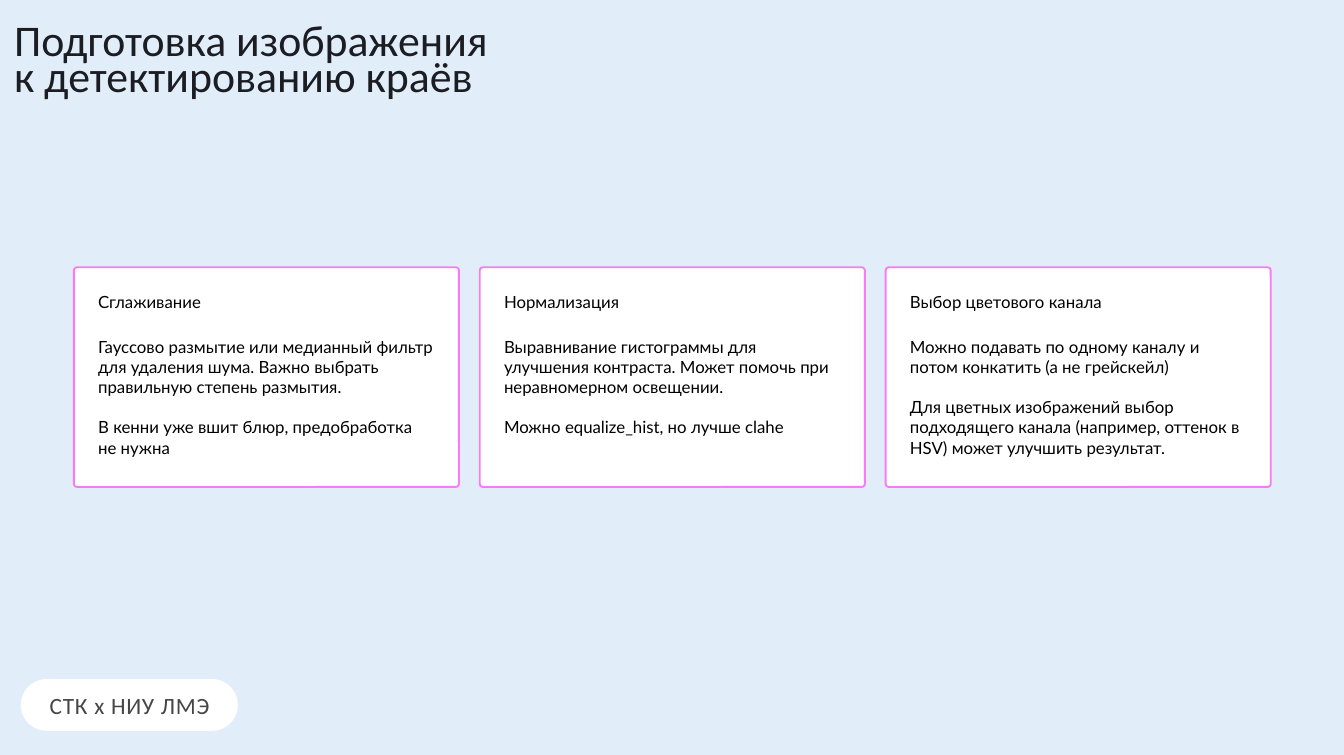
from dataclasses import dataclass

from pptx import Presentation
from pptx.dml.color import RGBColor
from pptx.enum.shapes import MSO_SHAPE
from pptx.enum.text import MSO_ANCHOR, PP_ALIGN
from pptx.util import Inches, Pt

ROUNDED = MSO_SHAPE.ROUNDED_RECTANGLE
TOP, MIDDLE = MSO_ANCHOR.TOP, MSO_ANCHOR.MIDDLE
LEFT, CENTER = PP_ALIGN.LEFT, PP_ALIGN.CENTER


@dataclass(frozen=True)
class Theme:
    background: RGBColor = RGBColor(0xE1, 0xEE, 0xFA)
    panel: RGBColor = RGBColor(0xFF, 0xFF, 0xFF)
    border: RGBColor = RGBColor(0xF7, 0x7B, 0xF7)
    title: RGBColor = RGBColor(0x1B, 0x1D, 0x22)
    badge: RGBColor = RGBColor(0x46, 0x46, 0x46)
    body: RGBColor = RGBColor(0x00, 0x00, 0x00)
    title_size: Pt = Pt(46.9)
    badge_size: Pt = Pt(25)
    body_size: Pt = Pt(18)
    heading_font: str = "Calibri"
    body_font: str = "Lato"


THEME = Theme()

CARDS = [
    ("Сглаживание", 1.7, 1.92, [
        "Гауссово размытие или медианный фильтр для удаления шума. "
        "Важно выбрать правильную степень размытия.",
        "В кенни уже вшит блюр, предобработка не нужна",
    ]),
    ("Нормализация", 1.88, 1.62, [
        "Выравнивание гистограммы для улучшения контраста. "
        "Может помочь при неравномерном освещении.",
        "Можно equalize_hist, но лучше clahe",
    ]),
    ("Выбор цветового канала", 3.04, 1.92, [
        "Можно подавать по одному каналу и потом конкатить (а не грейскейл)",
        "Для цветных изображений выбор подходящего канала "
        "(например, оттенок в HSV) может улучшить результат.",
    ]),
]

deck = Presentation()
deck.slide_width, deck.slide_height = Inches(20), Inches(11.24)
page = deck.slides.add_slide(deck.slide_layouts[6])
page.background.fill.solid()
page.background.fill.fore_color.rgb = THEME.background


def add_panel(left, top, width, height, rounding):
    panel = page.shapes.add_shape(
        ROUNDED, Inches(left), Inches(top), Inches(width), Inches(height))
    panel.adjustments[0] = rounding
    panel.shadow.inherit = False
    panel.fill.solid()
    panel.fill.fore_color.rgb = THEME.panel
    panel.line.fill.background()
    return panel


def add_text(left, top, width, height, lines, font, size, color,
             wrap=True, align=LEFT, anchor=TOP):
    box = page.shapes.add_textbox(
        Inches(left), Inches(top), Inches(width), Inches(height))
    frame = box.text_frame
    frame.margin_left = frame.margin_right = Inches(0.05)
    frame.margin_top = frame.margin_bottom = Inches(0.05)
    frame.word_wrap = wrap
    frame.vertical_anchor = anchor
    frame.text = "\n".join(lines)
    for para in frame.paragraphs:
        para.alignment = align
        para.font.name = font
        para.font.size = size
        para.font.color.rgb = color
    return frame.paragraphs


add_panel(0.31, 10.11, 3.23, 0.77, 0.5)
badge = add_text(0.48, 10.03, 2.9, 0.93, ["СТК х НИУ ЛМЭ"], THEME.heading_font,
                 THEME.badge_size, THEME.badge, align=CENTER, anchor=MIDDLE)
for span in badge[0].runs:
    span._r.get_or_add_rPr().set("spc", "80")

title = add_text(0.16, 0.35, 17.84, 1.42,
                 ["Подготовка изображения", "к детектированию краёв"],
                 THEME.heading_font, THEME.title_size, THEME.title)
for para in title:
    para.line_spacing = 0.7

for index, (heading, heading_width, body_height, body) in enumerate(CARDS):
    left = 1.1 + 6.04 * index
    card = add_panel(left, 3.98, 5.73, 3.27, 0.014)
    card.line.color.rgb = THEME.border
    card.line.width = Pt(2)
    add_text(left + 0.31, 4.29, heading_width, 0.39, [heading],
             THEME.body_font, THEME.body_size, THEME.body, wrap=False)
    paragraphs = add_text(left + 0.31, 4.96, 5.11, body_height, body,
                          THEME.body_font, THEME.body_size, THEME.body)
    paragraphs[1].space_before = Pt(21.6)

deck.save("out.pptx")
